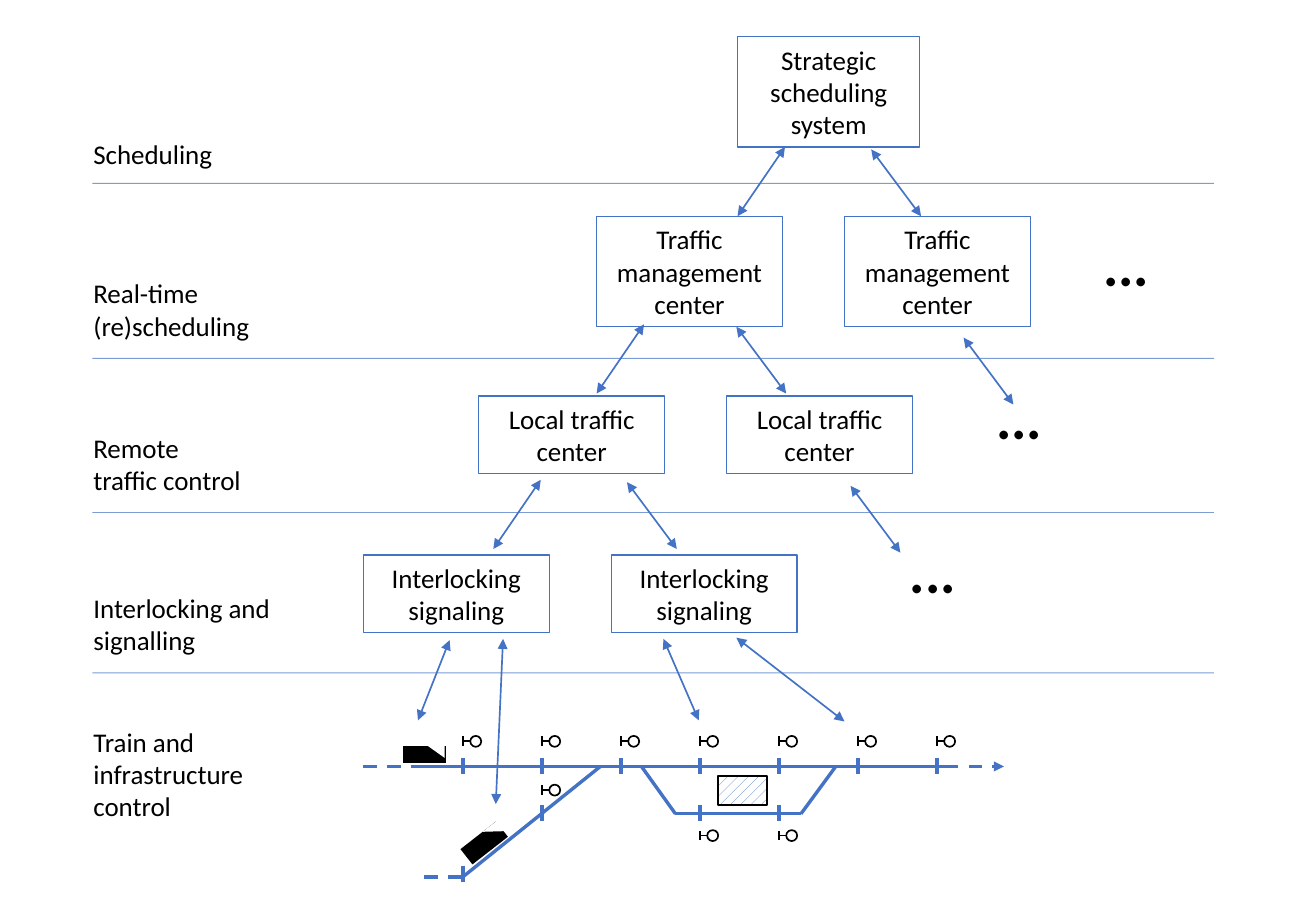
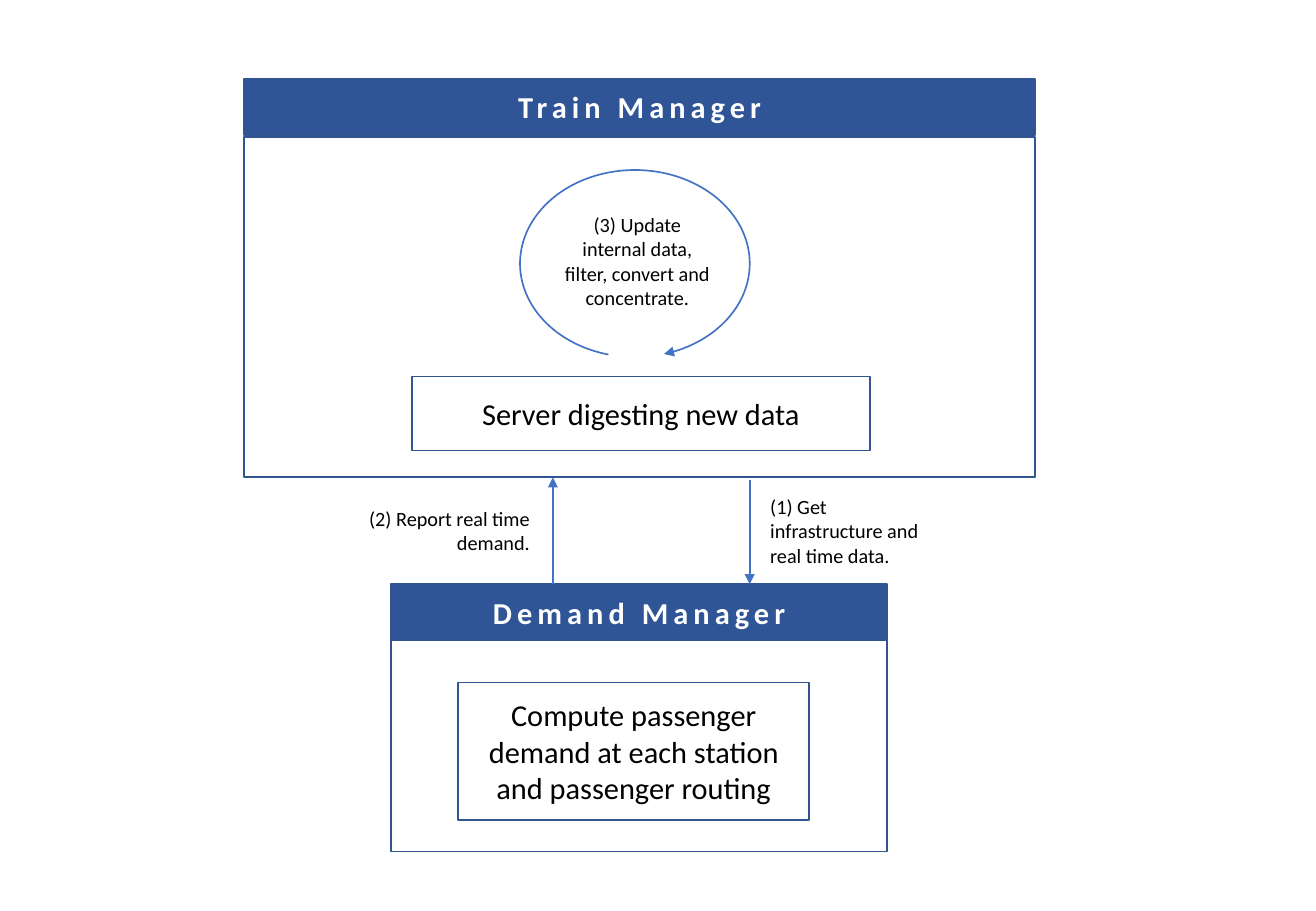
from typing import NamedTuple

from pptx import Presentation
from pptx.enum import dml, shapes, text
from pptx.oxml import parse_xml
from pptx.oxml.ns import nsdecls
from pptx.util import Inches, Pt

COLORS = {
    "line": "4472C4",
    "frame": "325491",
    "header": "2F5597",
    "ink": "000000",
    "paper": "FFFFFF",
}
FONT = "Calibri"
SLIDE_WIDTH, SLIDE_HEIGHT = 10.83, 7.5
SHAPE = shapes.MSO_SHAPE
ALIGN = text.PP_ALIGN

# Hierarchy: boxes of one level stand at an equal pitch.
BOX_WIDTH, BOX_PITCH = 1.53, 2.04
LABEL_LEFT = 0.67
DIVIDER_LEFT, DIVIDER_RIGHT = 0.76, 9.99

# Railway: one column per signal, one row from the main track to the siding.
TRACK_LEFT, TRACK_TOP = 3.81, 6.31
TRACK_COLUMN, TRACK_ROW = 0.65, 0.39
BRANCH_ROW = 2.33

HEADER_HEIGHT = 0.46


class Box(NamedTuple):
    left: float
    top: float
    width: float
    height: float


class Level(NamedTuple):
    label: str
    label_box: Box
    unit: str = ""
    units: tuple[Box, ...] = ()
    divider: float | None = None


class Track(NamedTuple):
    """A stretch between two points given in columns and rows."""
    start: tuple[float, float]
    end: tuple[float, float]
    dashed: bool = False
    arrow: bool = False


class Train(NamedTuple):
    body: Box
    nose: Box
    angle: float


class Panel(NamedTuple):
    title: str
    header: Box
    body: Box
    task: str
    task_box: Box


class Note(NamedTuple):
    words: str
    box: Box
    align: ALIGN


def row_of_boxes(left: float, top: float, height: float) -> tuple[Box, ...]:
    return tuple(Box(left + i * BOX_PITCH, top, BOX_WIDTH, height) for i in range(2))


LEVELS = (
    Level("Scheduling", Box(LABEL_LEFT, 1.08, 1.5, 0.37),
          "Strategic scheduling system", (Box(6.07, 0.3, 1.5, 0.91),), 1.51),
    Level("Real-time (re)scheduling", Box(LABEL_LEFT, 2.23, 1.92, 0.64),
          "Traffic management center", row_of_boxes(4.91, 1.78, 0.91), 2.95),
    Level("Remote\ntraffic control", Box(LABEL_LEFT, 3.5, 1.67, 0.64),
          "Local traffic center", row_of_boxes(3.94, 3.26, 0.64), 4.22),
    Level("Interlocking and signalling", Box(LABEL_LEFT, 4.82, 1.75, 0.64),
          "Interlocking signaling", row_of_boxes(2.99, 4.57, 0.64), 5.54),
    Level("Train and infrastructure control", Box(LABEL_LEFT, 5.92, 1.92, 0.91)),
)
ELLIPSES = ((8.98, 1.92), (8.1, 3.18), (7.39, 4.44))

# Each step (across, down) is shared by the links that start at the given points.
LINKS = {
    (-0.39, 0.57): ((6.46, 1.21), (5.3, 2.67), (4.45, 3.95)),
    (0.41, 0.55): ((7.17, 1.23), (6.06, 2.69), (7.93, 2.78), (5.16, 3.97), (7, 4)),
    (0.89, 0.69): ((6.06, 5.25),),
    (0.29, 0.67): ((5.46, 5.26),),
    (-0.26, 0.66): ((3.7, 5.27),),
    (-0.06, 1.36): ((4.14, 5.26),),
}

TRACKS = (
    Track((-0.65, 0), (6.25, 0)),
    Track((6.1, 0), (6.85, 0), dashed=True, arrow=True),
    Track((-1.26, 0), (-0.57, 0), dashed=True),
    Track((0, BRANCH_ROW), (1.74, 0)),
    Track((-0.49, BRANCH_ROW), (0.02, BRANCH_ROW), dashed=True),
    Track((2.26, 0), (2.69, 1)),
    Track((2.69, 1), (4.28, 1)),
    Track((4.28, 1), (4.72, 0)),
)
MAIN_COLUMNS = range(7)
TICKS = [(c, 0) for c in MAIN_COLUMNS] + [(1, 1), (3, 1), (4, 1), (0, 2.28)]
SIGNALS = [(c, -0.53) for c in MAIN_COLUMNS] + [(1, 0.5), (3, 1.46), (4, 1.46)]
TRAINS = (
    Train(Box(3.32, 6.14, 0.35, 0.14), Box(3.52, 6.14, 0.14, 0.1), 0),
    Train(Box(3.8, 6.86, 0.37, 0.16), Box(3.99, 6.79, 0.15, 0.11), -37.9),
)
PLATFORM = Box(5.91, 6.39, 0.4, 0.24)

PANELS = (
    Panel("Demand Manager", Box(3.22, 4.81, 4.08, HEADER_HEIGHT), Box(3.22, 5.27, 4.08, 1.74),
          "Compute passenger demand at each station and passenger routing",
          Box(3.77, 5.62, 2.89, 1.13)),
    Panel("Train Manager", Box(2.01, 0.65, 6.51, HEADER_HEIGHT), Box(2.01, 1.13, 6.51, 2.8),
          "Server digesting new data", Box(3.39, 3.1, 3.77, 0.61)),
)
NOTES = (
    Note("(1) Get infrastructure and real time data.", Box(6.24, 4.02, 1.53, 0.71), ALIGN.LEFT),
    Note("(2) Report real time demand.", Box(2.93, 4.12, 1.53, 0.5), ALIGN.RIGHT),
    Note("(3) Update internal data, filter, convert and concentrate.",
         Box(4.55, 1.7, 1.39, 0.91), ALIGN.CENTER),
)
EXCHANGES = (((6.17, 3.95), (6.17, 4.81)), ((4.55, 4.81), (4.55, 3.93)))
UPDATE_LOOP = Box(4.28, 1.4, 1.89, 1.54)
LOOP_START, LOOP_END = 106.2, 72.2


def rgb(name: str) -> dml.MSO_THEME_COLOR:
    from pptx.dml.color import RGBColor
    return RGBColor.from_string(COLORS[name])


def emu(box: Box) -> list[int]:
    return [Inches(length) for length in box]


def write(frame, words: str, size: float, align=ALIGN.CENTER, color="ink",
          bold=False, spacing: float = 0) -> None:
    frame.text = words
    frame.word_wrap = True
    for paragraph in frame.paragraphs:
        paragraph.alignment = align
        for run in paragraph.runs:
            run.font.name, run.font.size, run.font.bold = FONT, Pt(size), bold
            run.font.color.rgb = rgb(color)
            if spacing:
                run.font._element.set("spc", str(int(spacing * 100)))


def add_figure(slide, kind, box: Box, fill=None, line=None, width: float = 1, angle: float = 0):
    figure = slide.shapes.add_shape(kind, *emu(box))
    figure.shadow.inherit = False
    figure.rotation = angle
    if fill:
        figure.fill.solid()
        figure.fill.fore_color.rgb = rgb(fill)
    else:
        figure.fill.background()
    if line:
        figure.line.color.rgb = rgb(line)
        figure.line.width = Pt(width)
    else:
        figure.line.fill.background()
    return figure


def add_label(slide, words: str, box: Box, size: float, align=ALIGN.LEFT) -> None:
    frame = slide.shapes.add_textbox(*emu(box)).text_frame
    write(frame, words, size, align)
    frame.auto_size = text.MSO_AUTO_SIZE.SHAPE_TO_FIT_TEXT


def add_arrowheads(shape, *ends: str) -> None:
    """Put a triangle at each of the ends, named head or tail, in that order."""
    for end in ends:
        shape.get_or_add_ln().append(
            parse_xml(f'<a:{end}End {nsdecls("a")} type="triangle"/>'))


def add_line(slide, start, end, width: float = 1, color="line", dashed=False, ends=()):
    line = slide.shapes.add_connector(
        shapes.MSO_CONNECTOR.STRAIGHT, *(Inches(v) for v in (*start, *end)))
    line.line.color.rgb = rgb(color)
    line.line.width = Pt(width)
    if dashed:
        line.line.dash_style = dml.MSO_LINE.DASH
    add_arrowheads(line, *ends)
    line.element.spPr.append(parse_xml(f'<a:effectLst {nsdecls("a")}/>'))
    return line


def add_divider(slide, y: float) -> None:
    divider = add_line(slide, (DIVIDER_LEFT, y), (DIVIDER_RIGHT, y), 0.5)
    for color in divider.get_or_add_ln().iter("{*}srgbClr"):
        color.append(parse_xml(f'<a:alpha {nsdecls("a")} val="70000"/>'))


def on_track(column: float, row: float) -> tuple[float, float]:
    return TRACK_LEFT + column * TRACK_COLUMN, TRACK_TOP + row * TRACK_ROW


def add_signal(slide, column: float, row: float) -> None:
    x, y = on_track(column, row)
    lamp, arm, foot = 0.09, 0.06, 0.04
    add_figure(slide, SHAPE.OVAL, Box(x + arm, y - lamp / 2, lamp, lamp), line="ink")
    add_line(slide, (x + arm, y), (x, y), color="ink")
    add_line(slide, (x, y - foot), (x, y + foot), color="ink")


def add_railway(slide) -> None:
    for track in TRACKS:
        add_line(slide, on_track(*track.start), on_track(*track.end), 2,
                 dashed=track.dashed, ends=("tail",) if track.arrow else ())
    for tick in TICKS:
        x, y = on_track(*tick)
        add_line(slide, (x, y - 0.07), (x, y + 0.06), 2)
    for train in TRAINS:
        add_figure(slide, SHAPE.FLOWCHART_PROCESS, train.body, "ink", angle=train.angle)
        add_figure(slide, SHAPE.RIGHT_TRIANGLE, train.nose, "paper", angle=train.angle + 180)
    platform = add_figure(slide, SHAPE.RECTANGLE, PLATFORM, line="ink", width=1.25)
    platform.fill.patterned()
    platform.fill.pattern = dml.MSO_PATTERN.PERCENT_20
    platform.fill.fore_color.rgb = rgb("line")
    platform.fill.back_color.rgb = rgb("paper")
    for signal in SIGNALS:
        add_signal(slide, *signal)


def build_hierarchy(slide) -> None:
    for level in LEVELS:
        add_label(slide, level.label, level.label_box, 16)
        if level.divider:
            add_divider(slide, level.divider)
        for box in level.units:
            unit = add_figure(slide, SHAPE.RECTANGLE, box, line="line", width=0.75)
            write(unit.text_frame, level.unit, 16)
    add_railway(slide)
    for left, top in ELLIPSES:
        add_label(slide, "···", Box(left, top, 0.64, 0.71), 36)
    for (across, down), starts in LINKS.items():
        for x, y in starts:
            add_line(slide, (x, y), (x + across, y + down), ends=("head", "tail"))


def build_managers(slide) -> None:
    for panel in PANELS:
        add_figure(slide, SHAPE.RECTANGLE, panel.body, line="frame")
        header = add_figure(slide, SHAPE.RECTANGLE, panel.header, "header", "frame")
        write(header.text_frame, panel.title, 18, color="paper", bold=True, spacing=3)
        task = add_figure(slide, SHAPE.RECTANGLE, panel.task_box, line="frame")
        write(task.text_frame, panel.task, 18)
    loop = add_figure(slide, SHAPE.ARC, UPDATE_LOOP, line="line")
    for i, degrees in enumerate((LOOP_START, LOOP_END)):
        loop.adjustments[i] = degrees * 0.6  # 60000 units a degree, scaled by 100000
    add_arrowheads(loop, "tail")
    for start, end in EXCHANGES:
        add_line(slide, start, end, ends=("tail",))
    for note in NOTES:
        add_label(slide, note.words, note.box, 12, note.align)


def main() -> None:
    deck = Presentation()
    deck.slide_width, deck.slide_height = Inches(SLIDE_WIDTH), Inches(SLIDE_HEIGHT)
    blank = deck.slide_layouts.get_by_name("Blank")
    for build in (build_hierarchy, build_managers):
        build(deck.slides.add_slide(blank))
    deck.save("out.pptx")


if __name__ == "__main__":
    main()
